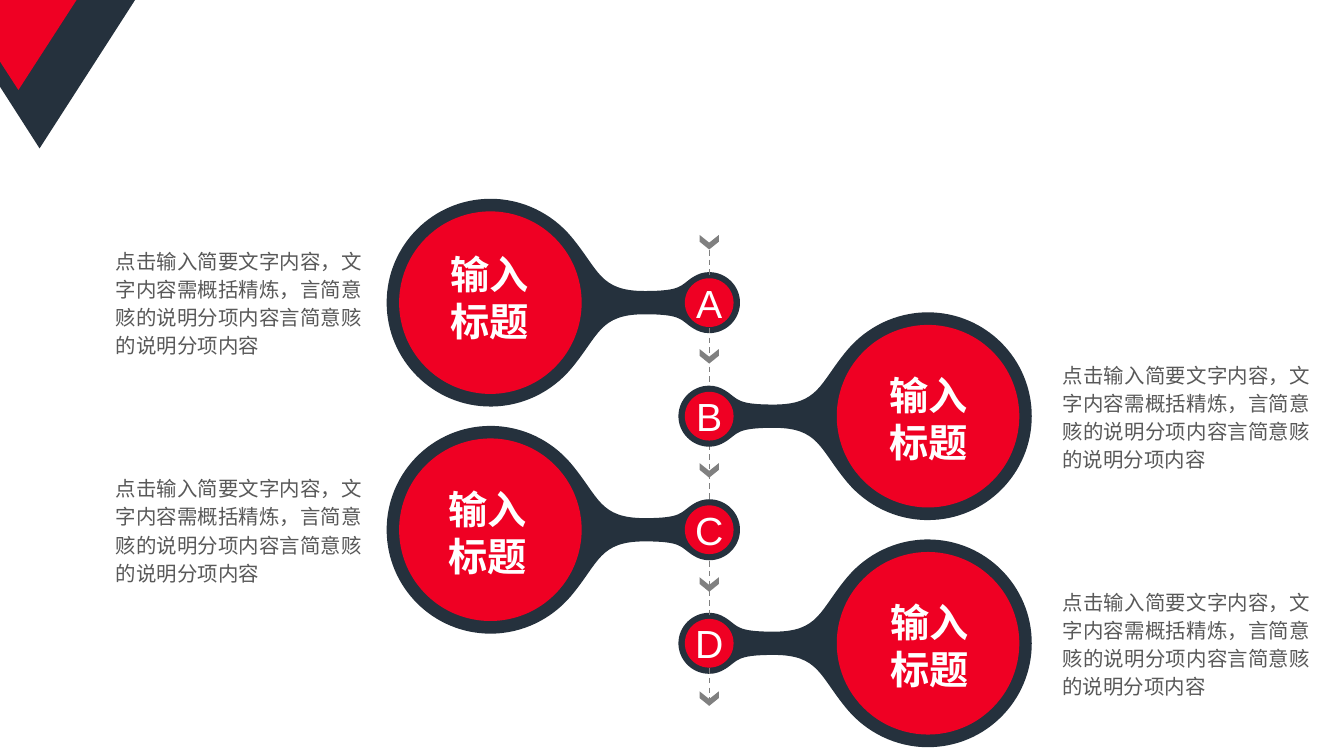
from dataclasses import dataclass
from typing import Optional

from lxml.etree import SubElement
from pptx import Presentation
from pptx.dml.color import RGBColor
from pptx.enum.dml import MSO_LINE
from pptx.enum.lang import MSO_LANGUAGE_ID
from pptx.enum.shapes import MSO_CONNECTOR, MSO_SHAPE
from pptx.enum.text import MSO_ANCHOR, MSO_AUTO_SIZE, PP_ALIGN
from pptx.oxml.ns import qn
from pptx.util import Pt

Point = tuple[float, float]


@dataclass(frozen=True)
class Theme:
    navy: RGBColor = RGBColor(0x25, 0x31, 0x3D)
    red: RGBColor = RGBColor(0xEF, 0x00, 0x23)
    grey: RGBColor = RGBColor(0x80, 0x80, 0x80)
    body_grey: RGBColor = RGBColor(0x59, 0x59, 0x59)
    white: RGBColor = RGBColor(0xFF, 0xFF, 0xFF)
    font: str = "Arial"
    heading_size: float = 28
    body_size: float = 14.6
    body_leading: float = 20


@dataclass(frozen=True)
class Step:
    letter: str
    row: int
    side: int  # -1 puts the bulb left of the spine, 1 right of it
    heading_left: float
    heading_top: float

    @property
    def center_y(self) -> float:
        return FIRST_ROW_Y + self.row * ROW_STEP

    @property
    def bulb_x(self) -> float:
        return SPINE_X + self.side * BULB_OFFSET


@dataclass(frozen=True)
class TextStyle:
    size: float
    color: RGBColor
    bold: Optional[bool] = None
    align: Optional[PP_ALIGN] = None
    leading: Optional[float] = None


THEME = Theme()
HEADING = TextStyle(THEME.heading_size, THEME.white, bold=True)
LETTER = TextStyle(THEME.heading_size, THEME.white, align=PP_ALIGN.CENTER)
BODY = TextStyle(THEME.body_size, THEME.body_grey, align=PP_ALIGN.JUSTIFY,
                 leading=THEME.body_leading)

SPINE_X, FIRST_ROW_Y, ROW_STEP = 506.6, 216.2, 81.1
BULB_OFFSET, BULB_RADIUS, HUB_RADIUS = 156.3, 65.2, 17.4
CHEVRON_TOP, CHEVRON_STEP = 167.8, 81.5
BODY_COLUMNS = {-1: (82.8, 175.7), 1: (758.9, 177)}
DESCRIPTION = "点击输入简要文字内容，文字内容需概括精炼，言简意赅的说明分项内容言简意赅的说明分项内容"

STEPS = [
    Step("A", 0, -1, 321.8, 179),
    Step("B", 1, 1, 635.4, 264.9),
    Step("C", 2, -1, 320.4, 346.3),
    Step("D", 3, 1, 636.1, 427.6),
]

# Upper edge of a dumbbell as Bezier points, measured from the hub centre
UPPER_EDGE: list[Point] = [
    (-22, 0),
    (-22, -12), (-12.1, -21.8), (0, -21.8),
    (4.3, -21.8), (8, -20.5), (11.5, -18.3),
    (20.9, -12.4), (18.7, -8.3), (46.1, -8.3),
    (78.5, -8.3), (78.5, -23.2), (98.6, -47.2),
    (112.4, -63.6), (133.2, -74.2), (156.2, -74.2),
    (197.2, -74.2), (230.4, -41), (230.4, 0),
]
LOWER_EDGE = [(x, -y) for x, y in reversed(UPPER_EDGE[:-1])]
CHEVRON: list[Point] = [(0, 5.5), (-6.9, 0), (-6.9, 4.8),
                        (0, 10.4), (6.9, 4.8), (6.9, 0)]


def paint(shape, color: RGBColor) -> None:
    shape.fill.solid()
    shape.fill.fore_color.rgb = color
    shape.line.fill.background()
    shape.shadow.inherit = False


def add_polygon(shapes, points: list[Point], color: RGBColor):
    (start_x, start_y), *rest = [(Pt(x), Pt(y)) for x, y in points]
    builder = shapes.build_freeform(start_x, start_y)
    builder.add_line_segments(rest, close=True)
    polygon = builder.convert_to_shape()
    paint(polygon, color)
    return polygon


def add_dumbbell(shapes, step: Step) -> None:
    points = [(SPINE_X + step.side * x, step.center_y + y)
              for x, y in UPPER_EDGE + LOWER_EDGE]
    dumbbell = add_polygon(shapes, points, THEME.navy)
    # Turn every three straight segments into one cubic curve
    outline = next(dumbbell.element.iter(qn("a:path")))
    segments = outline.findall(qn("a:lnTo"))
    for first in range(0, 3 * (len(points) // 3), 3):
        curve = SubElement(outline, qn("a:cubicBezTo"))
        segments[first].addprevious(curve)
        for segment in segments[first:first + 3]:
            curve.append(segment[0])
            outline.remove(segment)


def add_disc(shapes, x: float, y: float, radius: float):
    disc = shapes.add_shape(MSO_SHAPE.OVAL, Pt(x - radius), Pt(y - radius),
                            Pt(2 * radius), Pt(2 * radius))
    paint(disc, THEME.red)
    return disc


def write(frame, text: str, style: TextStyle) -> None:
    frame.margin_left = frame.margin_right = 0
    frame.margin_top = frame.margin_bottom = 0
    frame.word_wrap = True
    paragraph = frame.paragraphs[0]
    paragraph.alignment = style.align
    if style.leading:
        paragraph.line_spacing = Pt(style.leading)
    run = paragraph.add_run()
    run.text = text
    run.font.name = THEME.font
    run.font.size = Pt(style.size)
    run.font.bold = style.bold
    run.font.color.rgb = style.color
    run.font.language_id = MSO_LANGUAGE_ID.SIMPLIFIED_CHINESE


def add_text(shapes, left: float, top: float, width: float, height: float,
             text: str, style: TextStyle) -> None:
    frame = shapes.add_textbox(Pt(left), Pt(top), Pt(width), Pt(height)).text_frame
    write(frame, text, style)
    frame.auto_size = MSO_AUTO_SIZE.SHAPE_TO_FIT_TEXT


def add_spine(shapes) -> None:
    spine = shapes.add_group_shape().shapes
    axis = spine.add_connector(MSO_CONNECTOR.STRAIGHT, Pt(SPINE_X), Pt(178.6),
                               Pt(SPINE_X), Pt(499))
    axis.line.color.rgb = THEME.grey
    axis.line.width = Pt(1)
    axis.line.dash_style = MSO_LINE.DASH
    SubElement(axis.element.spPr, qn("a:effectLst"))
    for index in range(len(STEPS) + 1):
        top = CHEVRON_TOP + index * CHEVRON_STEP
        add_polygon(spine, [(SPINE_X + x, top + y) for x, y in CHEVRON], THEME.grey)


def main() -> None:
    deck = Presentation()
    deck.slide_width, deck.slide_height = Pt(960), Pt(540)
    shapes = deck.slides.add_slide(deck.slide_layouts[6]).shapes

    # Corner ornament
    corner = shapes.add_group_shape().shapes
    add_polygon(corner, [(28.3, 106), (96.5, 0), (0, 0), (0, 61.9)], THEME.navy)
    add_polygon(corner, [(0, 44), (13.2, 64.3), (54.7, 0), (0, 0)], THEME.red)

    # Dumbbells: the outer two lie behind the spine, the inner two over it
    step_a, step_b, step_c, step_d = STEPS
    for step in (step_d, step_a):
        add_dumbbell(shapes, step)
    add_spine(shapes)
    for step in (step_c, step_b):
        add_dumbbell(shapes, step)

    # Bulbs, lettered hubs, headings and descriptions
    for step in STEPS:
        add_disc(shapes, step.bulb_x, step.center_y, BULB_RADIUS)
        hub = add_disc(shapes, SPINE_X, step.center_y, HUB_RADIUS)
        write(hub.text_frame, step.letter, LETTER)
        hub.text_frame.vertical_anchor = MSO_ANCHOR.MIDDLE
        add_text(shapes, step.heading_left, step.heading_top, 70, 67.7,
                 "输入标题", HEADING)
        body_left, body_width = BODY_COLUMNS[step.side]
        add_text(shapes, body_left, step.center_y - 40.5, body_width, 80.6,
                 DESCRIPTION, BODY)

    deck.save("out.pptx")


if __name__ == "__main__":
    main()
